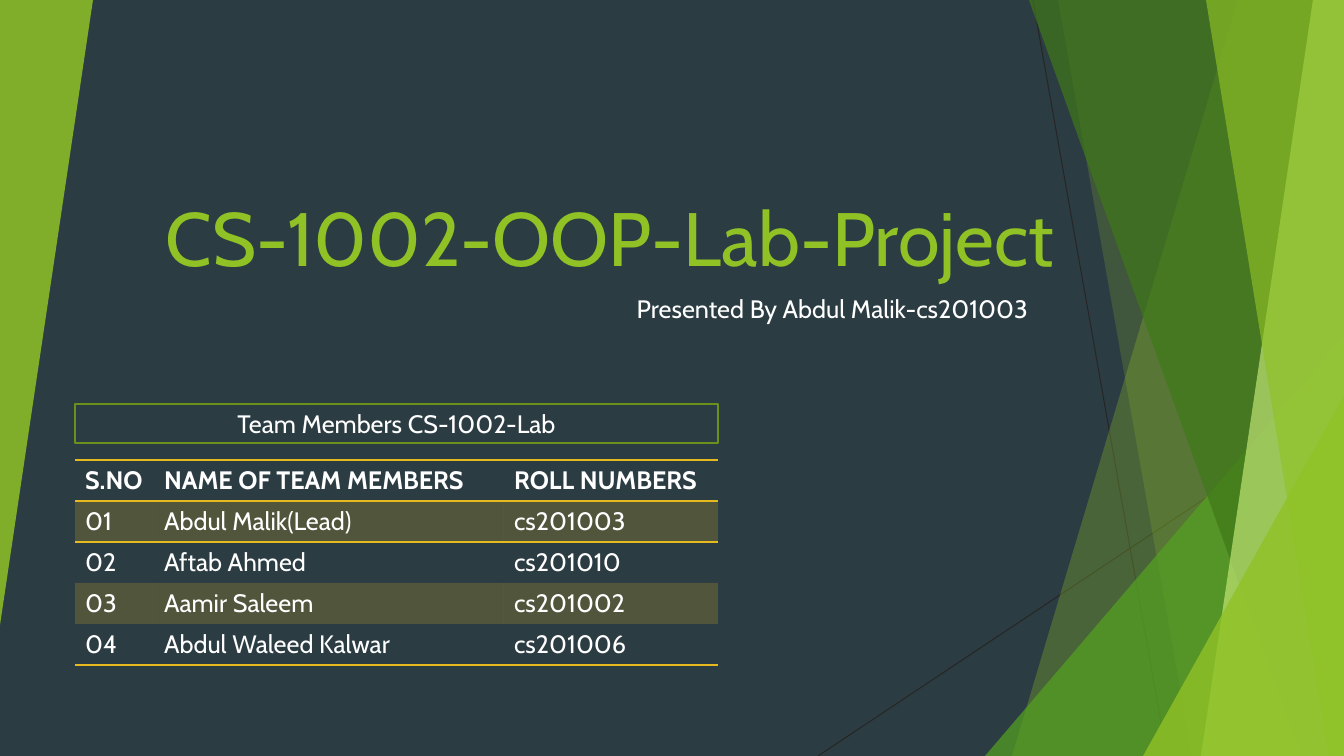
from pptx import Presentation
from pptx.dml.color import RGBColor
from pptx.enum.shapes import MSO_CONNECTOR, MSO_SHAPE
from pptx.enum.text import MSO_ANCHOR, PP_ALIGN
from pptx.oxml.ns import qn
from pptx.util import Emu, Pt
from lxml import etree

STRAIGHT = MSO_CONNECTOR.STRAIGHT
TRIANGLE, RECTANGLE = MSO_SHAPE.ISOSCELES_TRIANGLE, MSO_SHAPE.RECTANGLE
TOP, MIDDLE, BOTTOM = MSO_ANCHOR.TOP, MSO_ANCHOR.MIDDLE, MSO_ANCHOR.BOTTOM
LEFT, CENTER, RIGHT = PP_ALIGN.LEFT, PP_ALIGN.CENTER, PP_ALIGN.RIGHT

SLATE = RGBColor(0x2C, 0x3C, 0x43)
WHITE = RGBColor(0xFF, 0xFF, 0xFF)
CHARCOAL = RGBColor(0x26, 0x26, 0x26)
LIME = RGBColor(0x90, 0xC2, 0x26)
PALE_LIME = RGBColor(0xC0, 0xE4, 0x74)
OLIVE = RGBColor(0x6B, 0x90, 0x1C)
GREEN = RGBColor(0x54, 0xA0, 0x21)
FOREST = RGBColor(0x3F, 0x78, 0x19)
GOLD = RGBColor(0xE6, 0xB9, 0x1E)

FONT = "Cabin"
WIDTH, HEIGHT = 1344, 756
NO_TABLE_STYLE = "{2D5ABB26-0587-4C30-8999-92F81FD0307C}"
COLUMN_WIDTHS = (79, 350, 214)
ROW_HEIGHT = 41
TEAM = (
    ("S.NO", "NAME OF TEAM MEMBERS", "ROLL NUMBERS"),
    ("01", "Abdul Malik(Lead)", "cs201003"),
    ("02", "Aftab Ahmed", "cs201010"),
    ("03", "Aamir Saleem", "cs201002"),
    ("04", "Abdul Waleed Kalwar", "cs201006"),
)


def px(length):
    return Emu(round(length * 914400 / 100.8))


def fill_solid(fill, color, opacity=100):
    fill.solid()
    fill.fore_color.rgb = color
    if opacity < 100:
        color_element = fill._xPr.find(qn("a:solidFill"))[0]
        etree.SubElement(color_element, qn("a:alpha"), val=str(opacity * 1000))


def write_text(frame, text, size=18, color=WHITE, bold=False, align=LEFT,
               anchor=TOP, space_before=0):
    frame.word_wrap = True
    frame.vertical_anchor = anchor
    paragraph = frame.paragraphs[0]
    paragraph.alignment = align
    paragraph.space_before = Pt(space_before)
    run = paragraph.add_run()
    run.text = text
    run.font.name = FONT
    run.font.size = Pt(size)
    run.font.bold = bold
    run.font.color.rgb = color


def add_text(slide, box, text, **text_format):
    text_box = slide.shapes.add_textbox(*map(px, box))
    write_text(text_box.text_frame, text, **text_format)


def add_thin_line(slide, start, end):
    line = slide.shapes.add_connector(STRAIGHT, *map(px, start + end))
    line.line.color.rgb = CHARCOAL
    line.line.width = Pt(0.75)
    etree.SubElement(line._element.spPr, qn("a:effectLst"))


def finish_facet(shape, color, opacity):
    shape.shadow.inherit = False
    shape.line.fill.background()
    fill_solid(shape.fill, color, opacity)


def add_band(slide, top_x, bottom_x, color, opacity):
    """Fill from a slanted left edge to the right side of the slide."""
    builder = slide.shapes.build_freeform(px(top_x), 0)
    corners = ((WIDTH, 0), (WIDTH, HEIGHT), (bottom_x, HEIGHT))
    builder.add_line_segments([(px(x), px(y)) for x, y in corners])
    finish_facet(builder.convert_to_shape(), color, opacity)


def add_corner(slide, box, color, opacity, rotation=0):
    triangle = slide.shapes.add_shape(TRIANGLE, *map(px, box))
    triangle.adjustments[0] = 1
    triangle.rotation = rotation
    finish_facet(triangle, color, opacity)


def add_facets(slide):
    add_thin_line(slide, (1033, 0), (1167, HEIGHT))
    add_thin_line(slide, (WIDTH, 406), (818, HEIGHT))
    add_band(slide, 1238, 1012, LIME, 30)
    add_band(slide, 1058, 1192, LIME, 20)
    add_corner(slide, (985, 336, 359, 420), GREEN, 72)
    add_band(slide, 1029, 1301, FOREST, 70)
    add_band(slide, 1313, 1201, PALE_LIME, 70)
    add_band(slide, 1206, 1329, LIME, 65)
    add_corner(slide, (1143, 396, 201, 360), LIME, 80)
    add_corner(slide, (0, 0, 93, 625), LIME, 85, rotation=180)


def add_headings(slide, left, top):
    add_text(slide, (left, top, 997, 109), "CS-1002-OOP-Lab-Project",
             size=54, color=LIME, align=RIGHT, anchor=BOTTOM)
    add_text(slide, (left + 144, top + 110, 827, 44),
             "Presented By Abdul Malik-cs201003", align=RIGHT, space_before=10)


def add_border(cell, side):
    border = etree.SubElement(cell._tc.get_or_add_tcPr(), qn(f"a:ln{side}"),
                              w=str(Pt(1)))
    fill = etree.SubElement(border, qn("a:solidFill"))
    etree.SubElement(fill, qn("a:srgbClr"), val=str(GOLD))


def add_team_table(slide, left, top):
    frame = slide.shapes.add_table(
        len(TEAM), len(COLUMN_WIDTHS), px(left), px(top),
        px(sum(COLUMN_WIDTHS)), px(ROW_HEIGHT * len(TEAM)))
    table = frame.table
    table._tbl.tblPr.find(qn("a:tableStyleId")).text = NO_TABLE_STYLE
    for column, width in zip(table.columns, COLUMN_WIDTHS):
        column.width = px(width)
    for row_index, texts in enumerate(TEAM):
        table.rows[row_index].height = px(ROW_HEIGHT)
        is_header = row_index == 0
        for column_index, text in enumerate(texts):
            cell = table.cell(row_index, column_index)
            write_text(cell.text_frame, text, bold=is_header)
            if row_index <= 1:
                add_border(cell, "T")
            if is_header or row_index == len(TEAM) - 1:
                add_border(cell, "B")
            if row_index % 2:
                fill_solid(cell.fill, GOLD, 20)
            else:
                cell.fill.background()


def add_team(slide, left, top):
    caption = slide.shapes.add_shape(
        RECTANGLE, px(left), px(top), px(sum(COLUMN_WIDTHS)), px(39))
    caption.shadow.inherit = False
    caption.fill.background()
    caption.line.color.rgb = OLIVE
    caption.line.width = Pt(1.5)
    write_text(caption.text_frame, "Team Members CS-1002-Lab",
               align=CENTER, anchor=MIDDLE)
    add_team_table(slide, left, top + 56)


def main():
    presentation = Presentation()
    presentation.slide_width, presentation.slide_height = px(WIDTH), px(HEIGHT)
    slide = presentation.slides.add_slide(presentation.slide_layouts[6])
    fill_solid(slide.background.fill, SLATE)
    add_facets(slide)
    add_headings(slide, 67, 178)
    add_team(slide, 75, 404)
    presentation.save("out.pptx")


if __name__ == "__main__":
    main()
